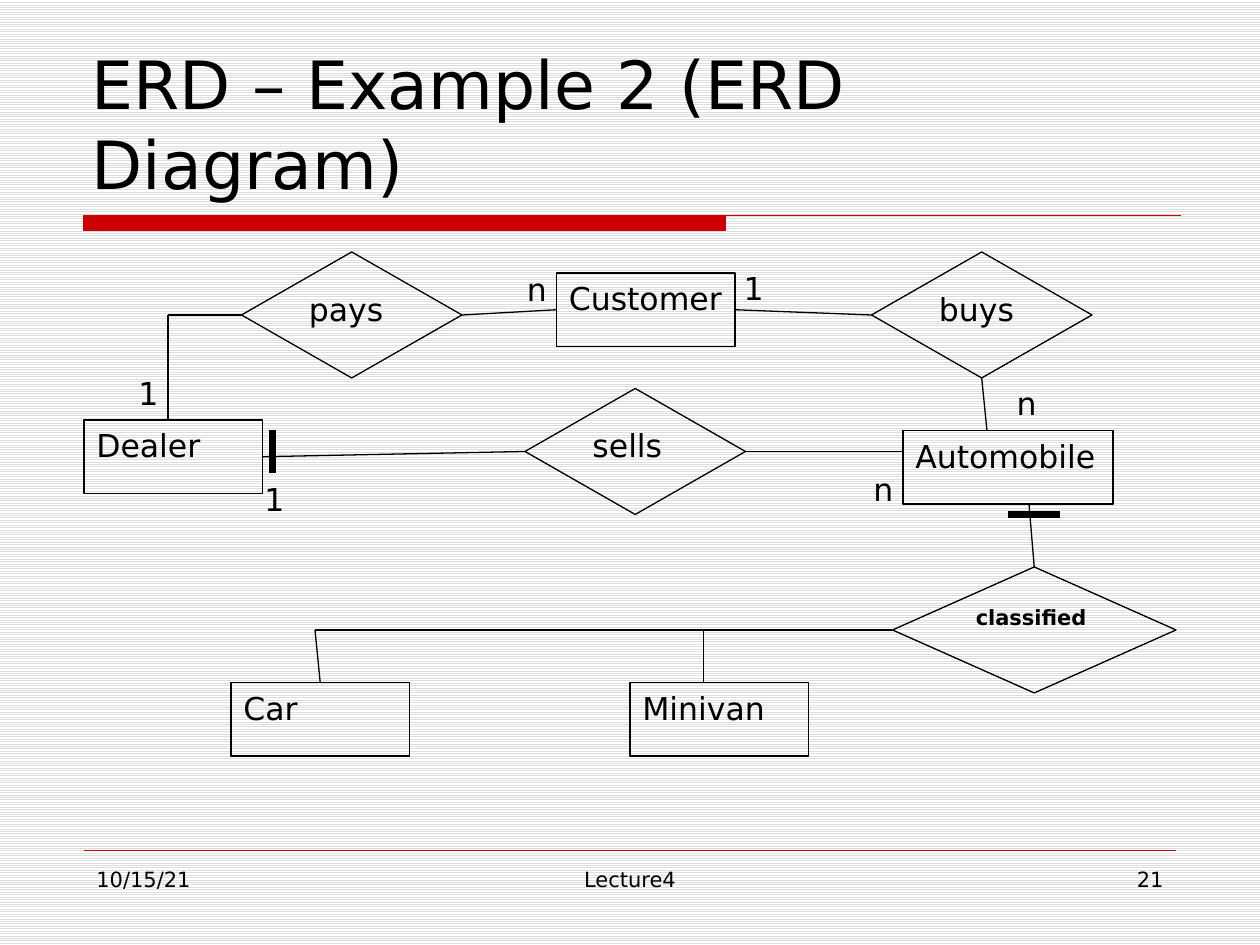
from dataclasses import dataclass

from lxml import etree
from pptx import Presentation
from pptx.dml.color import RGBColor
from pptx.enum import dml, shapes, text
from pptx.oxml.ns import qn
from pptx.util import Inches, Pt

COLORS = {"ink": "000000", "accent": "CC0000", "stripe": "DDDDDD", "paper": "FFFFFF"}
FONT = "DejaVu Sans"
CELL = Inches(10) / 120  # the slide is 120 columns by 90 rows
TOP, LEFT, BOTTOM, RIGHT = range(4)  # connection sites


@dataclass
class Box:
    """A region of the slide, measured in grid columns and rows."""
    column: float
    row: float
    columns: float
    rows: float

    def point(self, column, row):
        return round((self.column + column) * CELL), round((self.row + row) * CELL)

    def place(self, column, row, columns, rows):
        return *self.point(column, row), round(columns * CELL), round(rows * CELL)


def color(name):
    return RGBColor.from_string(COLORS[name])


def write(shape, words, size, align=text.PP_ALIGN.LEFT,
          anchor=text.MSO_ANCHOR.TOP, bold=False, wrap=True):
    frame = shape.text_frame
    frame.word_wrap = wrap
    frame.vertical_anchor = anchor
    if not wrap:
        frame.auto_size = text.MSO_AUTO_SIZE.SHAPE_TO_FIT_TEXT
    paragraph = frame.paragraphs[0]
    paragraph.text = words
    paragraph.alignment = align
    font = paragraph.font
    font.name, font.size, font.bold = FONT, Pt(size), bold
    font.color.rgb = color("ink")


def add_line(slide, start, end, width=0.75, shade="ink"):
    line = slide.shapes.add_connector(shapes.MSO_CONNECTOR.STRAIGHT, *start, *end)
    line.line.color.rgb = color(shade)
    line.line.width = Pt(width)
    etree.SubElement(line._element.spPr, qn("a:effectLst"))
    return line


def add_header(slide, box):
    # Title
    title = slide.shapes.add_textbox(*box.place(-0.45, -0.1, 105, 16))
    write(title, "ERD – Example 2 (ERD Diagram)", 38, anchor=text.MSO_ANCHOR.BOTTOM)

    # Thick bar with a thin rule along its top edge
    bar_width, bar_height, rule_row = 61.1, 1.44, 16.5
    builder = slide.shapes.build_freeform(*box.point(0, rule_row))
    builder.add_line_segments([box.point(bar_width, rule_row),
                               box.point(bar_width, rule_row + bar_height),
                               box.point(0, rule_row + bar_height)], close=True)
    builder.move_to(*box.point(0, rule_row))
    builder.add_line_segments([box.point(box.columns, rule_row)], close=False)
    bar = builder.convert_to_shape()
    bar.shadow.inherit = False
    bar.fill.solid()
    bar.fill.fore_color.rgb = color("accent")
    bar.line.color.rgb = color("accent")
    bar.line.width = Pt(0.75)


def add_node(slide, box, kind, words, column, row, columns, rows):
    node = slide.shapes.add_shape(kind, *box.place(column, row, columns, rows))
    node.shadow.inherit = False
    node.fill.background()
    node.line.color.rgb = color("ink")
    node.line.width = Pt(0.75)
    small = words == "classified"
    write(node, words, 12 if small else 18, bold=small)
    return node


def add_diagram(slide, box):
    # Entities: name, column, row, columns
    entities = [("Dealer", 0, 16, 17), ("Customer", 45, 2, 17), ("Automobile", 78, 17, 20),
                ("Car", 14, 41, 17), ("Minivan", 52, 41, 17)]
    # Relationships: name, column, row, columns
    relationships = [("pays", 15, 0, 21), ("sells", 42, 13, 21),
                     ("buys", 75, 0, 21), ("classified", 77, 30, 27)]
    nodes = {}
    for kind, rows, group in ((shapes.MSO_SHAPE.RECTANGLE, 7, entities),
                              (shapes.MSO_SHAPE.DIAMOND, 12, relationships)):
        for name, column, row, columns in group:
            nodes[name] = add_node(slide, box, kind, name, column, row, columns, rows)

    # Links: each end is a grid point or a (node, side) pair
    links = [
        (("pays", LEFT), (8, 6)),
        ((8, 6), (8, 16)),
        (("pays", RIGHT), ("Customer", LEFT)),
        (("Customer", RIGHT), ("buys", LEFT)),
        (("Dealer", RIGHT), ("sells", LEFT)),
        (("sells", RIGHT), (78, 19)),
        (("buys", BOTTOM), (86, 17)),
        (("classified", LEFT), (22, 36)),
        ((59, 36), (59, 41)),
        ((22, 36), ("Car", TOP)),
        (("classified", TOP), (90, 24)),
    ]
    for ends in links:
        points = [box.point(0, 0) if end[0] in nodes else box.point(*end) for end in ends]
        link = add_line(slide, *points)
        for end, join in zip(ends, (link.begin_connect, link.end_connect)):
            if end[0] in nodes:
                join(nodes[end[0]], end[1])

    # Participation marks
    add_line(slide, box.point(18, 17), box.point(18, 21), 4)
    add_line(slide, box.point(88, 25), box.point(93, 25), 4)

    # Cardinalities
    for words, column, row in [("1", 4, 11), ("n", 41, 1.1), ("1", 61.65, 1),
                               ("n", 87.65, 12), ("1", 16, 21.1), ("n", 74, 20.2)]:
        label = slide.shapes.add_textbox(*box.place(column, row, 4.3, 4.8))
        write(label, words, 18, wrap=False)


def add_footer(slide, box):
    add_line(slide, box.point(0, 0), box.point(box.columns, 0), 0.25, "accent")
    align = text.PP_ALIGN
    for words, column, columns, side in [("10/15/21", 0, 26, align.LEFT),
                                         ("Lecture4", 33, 38, align.CENTER),
                                         ("21", 78, 26, align.RIGHT)]:
        field = slide.shapes.add_textbox(*box.place(column, 0.95, columns, 6.25))
        write(field, words, 12, side)


def main():
    presentation = Presentation()
    presentation.slide_width, presentation.slide_height = Inches(10), Inches(7.5)
    slide = presentation.slides.add_slide(presentation.slide_layouts[6])

    # Striped background
    fill = slide.background.fill
    fill.patterned()
    fill.pattern = dml.MSO_PATTERN.LIGHT_HORIZONTAL
    fill.fore_color.rgb = color("stripe")
    fill.back_color.rgb = color("paper")

    add_header(slide, Box(8, 4, 104.45, 18))
    add_diagram(slide, Box(8, 24, 104, 48))
    add_footer(slide, Box(8, 81, 104, 7.25))
    presentation.save("out.pptx")


if __name__ == "__main__":
    main()
